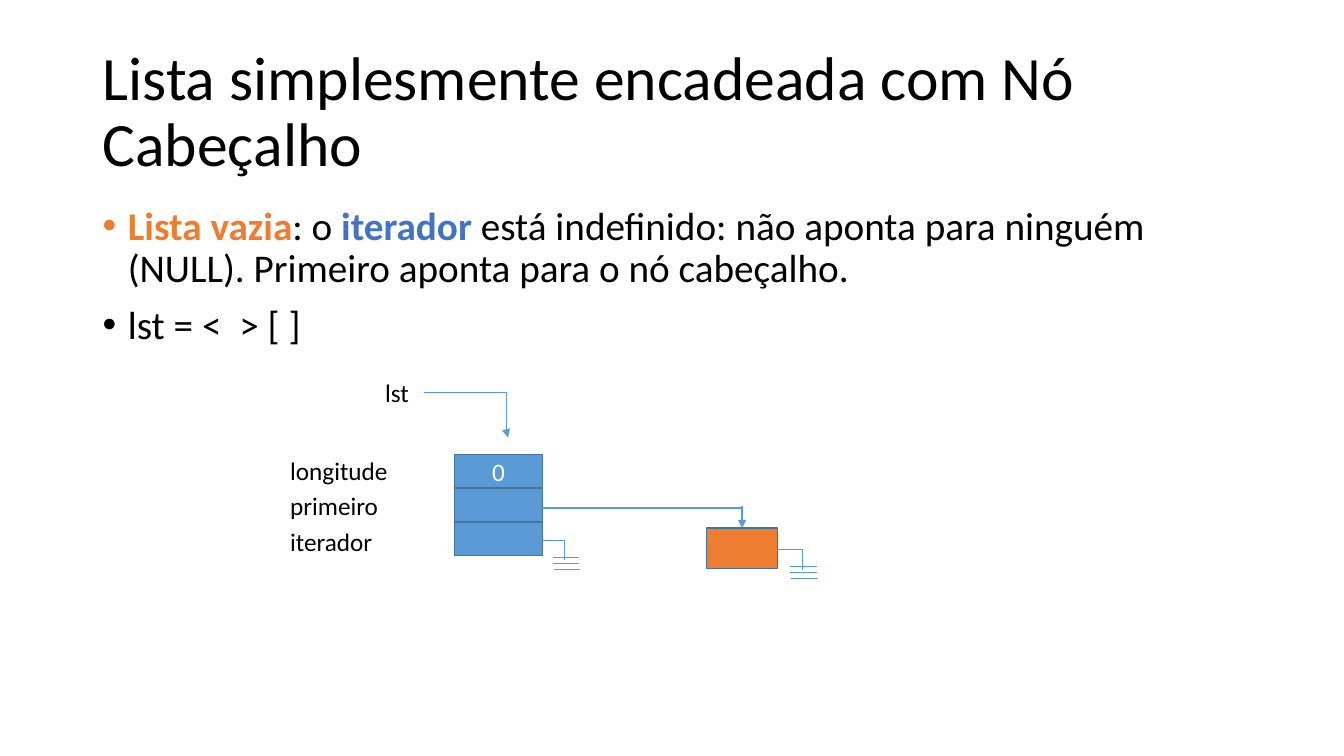
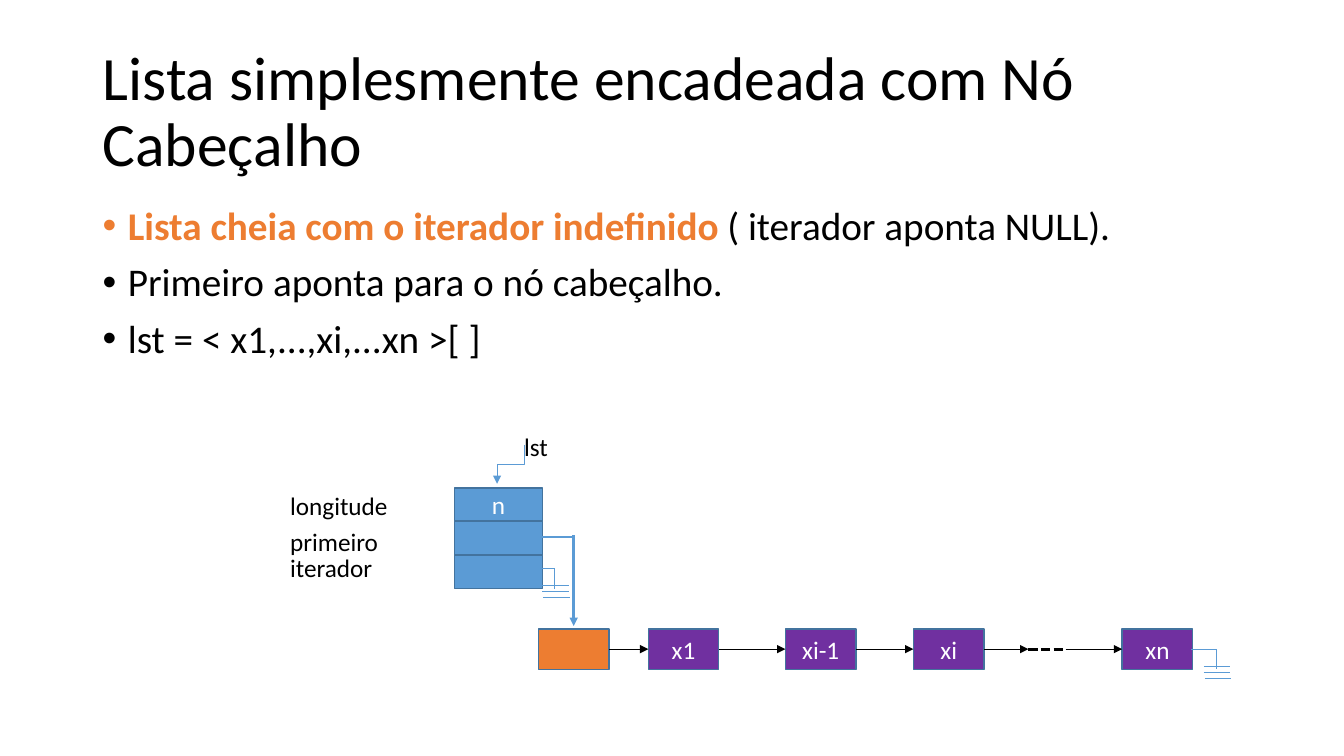
from dataclasses import dataclass
from itertools import pairwise

from lxml.etree import SubElement
from pptx import Presentation
from pptx.dml.color import RGBColor
from pptx.enum.dml import MSO_LINE as Dash
from pptx.enum.shapes import MSO_CONNECTOR as Link, MSO_SHAPE as Shape
from pptx.enum.text import MSO_ANCHOR as Anchor, PP_ALIGN as Align
from pptx.oxml.ns import qn
from pptx.util import Inches, Pt


@dataclass(frozen=True)
class Theme:
    font: str = "Calibri"
    black: str = "000000"
    white: str = "FFFFFF"
    blue: str = "5B9BD5"
    edge: str = "43739E"
    royal: str = "4472C4"
    orange: str = "ED7D31"
    purple: str = "7030A0"
    title: int = 44
    body: int = 28
    label: int = 18
    thin: float = 0.5
    thick: float = 1.75
    dash: float = 2.25


T = Theme()
TITLE = "Lista simplesmente encadeada com Nó Cabeçalho"
FIELDS = ("longitude", "primeiro", "iterador")
CELL_X, CELL_W, CELL_H = 4.51, 0.87, 0.33
STEP = 0.67 / 2
NODE_W, NODE_H = 0.7, 0.4


def style(run, size, color, bold=False):
    font = run.font
    font.name, font.size, font.bold = T.font, Pt(size), bold
    font.color.rgb = RGBColor.from_string(color)


def text_box(slide, x, y, w, h):
    box = slide.shapes.add_textbox(Inches(x), Inches(y), Inches(w), Inches(h))
    box.text_frame.word_wrap = True
    return box.text_frame


def label(slide, x, y, w, text):
    para = text_box(slide, x, y, w, 0.4).paragraphs[0]
    para.text = text
    style(para.runs[0], T.label, T.black)


def title(slide):
    frame = text_box(slide, 0.92, 0.4, 11.5, 1.45)
    frame.vertical_anchor = Anchor.MIDDLE
    para = frame.paragraphs[0]
    para.text, para.line_spacing = TITLE, 0.9
    style(para.runs[0], T.title, T.black)


def bullets(slide, items):
    """Each item is a list of (text, color) parts; coloured parts are bold."""
    frame = text_box(slide, 0.92, 2, 11.5, 4.76)
    for i, parts in enumerate(items):
        para = frame.add_paragraph() if i else frame.paragraphs[0]
        para.line_spacing, para.space_before = 0.9, Pt(10)
        props = para._p.get_or_add_pPr()
        props.set("marL", str(Inches(0.25)))
        props.set("indent", str(-Inches(0.25)))
        SubElement(props, qn("a:buFont")).set("typeface", "Arial")
        SubElement(props, qn("a:buChar")).set("char", "•")
        for text, color in parts:
            run = para.add_run()
            run.text = text
            style(run, T.body, color, color != T.black)


def block(slide, x, y, w, h, fill, text=""):
    box = slide.shapes.add_shape(
        Shape.RECTANGLE, Inches(x), Inches(y), Inches(w), Inches(h))
    box.shadow.inherit = False
    box.fill.solid()
    box.fill.fore_color.rgb = RGBColor.from_string(fill)
    box.line.color.rgb = RGBColor.from_string(T.edge)
    box.line.width = Pt(1)
    if text:
        frame = box.text_frame
        frame.text, frame.vertical_anchor = text, Anchor.MIDDLE
        frame.paragraphs[0].alignment = Align.CENTER
        style(frame.paragraphs[0].runs[0], T.label, T.white)


def line(slide, start, end, color=T.blue, width=T.thin, arrow=False,
         kind=Link.STRAIGHT):
    link = slide.shapes.add_connector(kind, *map(Inches, start + end))
    link.line.color.rgb = RGBColor.from_string(color)
    link.line.width = Pt(width)
    if arrow:
        SubElement(link.line._get_or_add_ln(), qn("a:tailEnd")).set("type", "triangle")
    SubElement(link._element.spPr, qn("a:effectLst"))
    return link


def elbow(slide, start, end, bend=0.5, turn=0):
    """Bent arrow; bend is the share of its run, turn is in degrees."""
    props = line(slide, start, end, arrow=True, kind=Link.ELBOW)._element.spPr
    if turn:
        props.find(qn("a:xfrm")).set("rot", str(turn * 60000))
    geom = props.find(qn("a:prstGeom"))
    guides = geom.find(qn("a:avLst"))
    if guides is None:
        guides = SubElement(geom, qn("a:avLst"))
    SubElement(guides, qn("a:gd"), name="adj1", fmla=f"val {int(bend * 100000)}")


def ground(slide, x, y):
    """Null pointer: a wire from (x, y) that drops onto three bars."""
    line(slide, (x, y), (x + 0.25, y))
    line(slide, (x + 0.25, y), (x + 0.25, y + 0.2))
    for dx, dy in ((0.13, 0.17), (0.13, 0.23), (0.14, 0.29)):
        line(slide, (x + dx, y + dy), (x + dx + 0.26, y + dy))


def record(slide, top, count, tops):
    """List header: three cells, with its field names at the given tops."""
    for i, (name, y) in enumerate(zip(FIELDS, tops)):
        block(slide, CELL_X, top + i * STEP, CELL_W, CELL_H, T.blue,
              "" if i else count)
        label(slide, 2.78, y, 1.33, name)


def pointer(slide, x, y, end):
    """Thick arrow from the record, right to x and then down to end."""
    line(slide, (CELL_X + CELL_W, y), (x, y), width=T.thick)
    line(slide, (x, y - 0.02), (x, end), width=T.thick, arrow=True)


def empty(slide):
    title(slide)
    bullets(slide, [
        [("Lista vazia", T.orange), (": o ", T.black), ("iterador", T.royal),
         (" está indefinido: não aponta para ninguém (NULL). "
          "Primeiro aponta para o nó cabeçalho.", T.black)],
        [("lst = <  > [ ]", T.black)],
    ])
    record(slide, 4.51, "0", (4.47, 4.82, 5.17))
    label(slide, 3.72, 3.69, 0.49, "lst")
    elbow(slide, (4.21, 3.89), (5.04, 4.34), bend=0.98)
    ground(slide, 5.35, 5.36)
    block(slide, 7.01, 5.24, NODE_W, NODE_H, T.orange)
    ground(slide, 7.71, 5.45)
    pointer(slide, 7.36, 5.04, 5.24)


def full(slide):
    title(slide)
    bullets(slide, [
        [("Lista cheia com o iterador indefinido ", T.orange),
         ("( iterador aponta NULL).", T.black)],
        [("Primeiro aponta para o nó cabeçalho.", T.black)],
        [("lst = < x1,...,xi,...xn >[ ]", T.black)],
    ])
    record(slide, 4.84, "n", (4.82, 5.17, 5.43))
    label(slide, 5.1, 4.23, 0.49, "lst")
    elbow(slide, (4.87, 4.47), (5.26, 4.74), turn=90)
    ground(slide, 5.25, 5.64)
    pointer(slide, 5.69, 5.33, 6.21)

    top, mid = 6.24, 6.44
    nodes = {"": 5.34, "x1": 6.43, "xi-1": 7.79, "xi": 9.06, "xn": 11.13}
    for text, x in nodes.items():
        block(slide, x, top, NODE_W, NODE_H, T.purple if text else T.orange, text)
    spans = [(a + NODE_W, b) for a, b in pairwise(nodes.values())]
    (left, right), gap = spans.pop(), (10.2, 10.57)
    for a, b in spans + [(left, gap[0]), (gap[1], right)]:
        line(slide, (a, mid), (b, mid), T.black, arrow=True)
    dots = line(slide, (gap[0], mid), (gap[1], mid), T.black, T.dash)
    dots.line.dash_style = Dash.SQUARE_DOT
    ground(slide, 11.81, mid)


def main():
    deck = Presentation()
    deck.slide_width, deck.slide_height = Inches(13.33), Inches(7.5)
    for draw in (empty, full):
        draw(deck.slides.add_slide(deck.slide_layouts[6]))
    deck.save("out.pptx")


if __name__ == "__main__":
    main()
